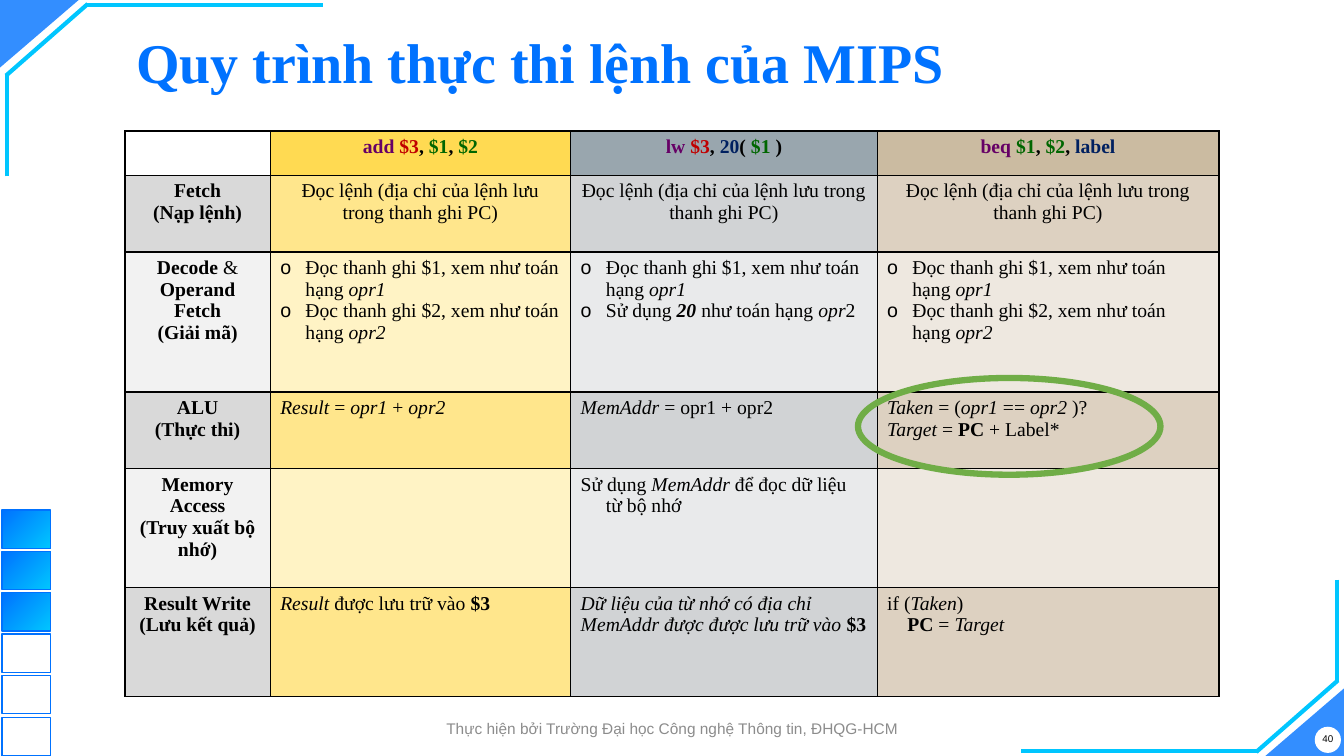
"""Build the slide on how MIPS instructions are executed, step by step."""
from dataclasses import dataclass
from typing import Optional

from lxml.etree import SubElement
from pptx import Presentation
from pptx.dml.color import RGBColor
from pptx.enum.shapes import MSO_CONNECTOR, MSO_SHAPE as SHAPE
from pptx.enum.text import MSO_ANCHOR as ANCHOR, MSO_AUTO_SIZE, PP_ALIGN as ALIGN
from pptx.oxml.ns import qn
from pptx.slide import Slide
from pptx.util import Emu, Pt

PX = 9144
WIDTH, HEIGHT = 1333, 750
SERIF, SANS = "Times New Roman", "Arial"

BLUE = RGBColor(0x00, 0x72, 0xFF)
CYAN = RGBColor(0x00, 0xC6, 0xFF)
WHITE = RGBColor(0xFF, 0xFF, 0xFF)
BLACK = RGBColor(0x00, 0x00, 0x00)
GREY = RGBColor(0x8C, 0x8C, 0x8C)
RING_GREEN = RGBColor(0x70, 0xAD, 0x47)
PURPLE = RGBColor(0x66, 0x00, 0x66)
RED = RGBColor(0xC0, 0x00, 0x00)
GREEN = RGBColor(0x00, 0x66, 0x00)
NAVY = RGBColor(0x00, 0x20, 0x60)

HEAD_FILLS = [WHITE, RGBColor(0xFF, 0xDA, 0x52), RGBColor(0x99, 0xA6, 0xAE), RGBColor(0xCB, 0xBB, 0xA1)]
DARK_FILLS = [RGBColor(0xD9, 0xD9, 0xD9), RGBColor(0xFF, 0xE6, 0x8C), RGBColor(0xD1, 0xD3, 0xD5), RGBColor(0xDD, 0xD1, 0xC1)]
LIGHT_FILLS = [RGBColor(0xF2, 0xF2, 0xF2), RGBColor(0xFF, 0xF3, 0xC5), RGBColor(0xE9, 0xEA, 0xEB), RGBColor(0xEE, 0xE8, 0xE0)]


@dataclass
class Run:
    """A stretch of text in one style."""
    text: str
    bold: bool = False
    italic: bool = False
    color: Optional[RGBColor] = None


@dataclass
class Para:
    """A paragraph of a table cell."""
    runs: list[Run]
    align: ALIGN = ALIGN.LEFT
    left: int = 0
    indent: int = 0
    bullet: bool = False


@dataclass
class Box:
    """A place on the slide in px."""
    x: int
    y: int
    w: int
    h: int

    def emu(self) -> tuple[Emu, Emu, Emu, Emu]:
        """Return left, top, width and height as lengths."""
        return px(self.x), px(self.y), px(self.w), px(self.h)


def px(n: int) -> Emu:
    """Turn px into EMU."""
    return Emu(n * PX)


def plain(text: str) -> Run:
    """Return a plain run."""
    return Run(text)


def bold(text: str, color: Optional[RGBColor] = None) -> Run:
    """Return a bold run."""
    return Run(text, bold=True, color=color)


def ital(text: str) -> Run:
    """Return an italic run."""
    return Run(text, italic=True)


def label(*lines: str) -> list[Para]:
    """Return the centred bold lines of a row label."""
    return [Para([bold(line)], ALIGN.CENTER) for line in lines]


def code(*runs: Run) -> list[Para]:
    """Return a centred column heading."""
    return [Para(list(runs), ALIGN.CENTER)]


def item(*runs: Run) -> Para:
    """Return a bulleted paragraph."""
    return Para(list(runs), left=25, indent=-25, bullet=True)


def read_reg(reg: str, operand: str) -> Para:
    """Return the step that reads a register into an operand."""
    return item(plain(f"Đọc thanh ghi {reg}, xem như toán hạng "), ital(operand))


FETCH = [Para([plain("Đọc lệnh (địa chỉ của lệnh lưu trong thanh ghi PC)")], ALIGN.CENTER)]
TWO_REGS = [read_reg("$1", "opr1"), read_reg("$2", "opr2")]
ROWS = [
    [[],
     code(bold("add ", PURPLE), bold("$3", RED), bold(", "), bold("$1", GREEN), bold(", "), bold("$2", GREEN)),
     code(bold("lw ", PURPLE), bold("$3", RED), bold(", "), bold("20", NAVY), bold("( "), bold("$1 ", GREEN), bold(")")),
     code(bold("beq ", PURPLE), bold("$1", GREEN), bold(", "), bold("$2", GREEN), bold(", "), bold("label", NAVY))],
    [label("Fetch", "(Nạp lệnh)"), FETCH, FETCH, FETCH],
    [[Para([bold("Decode "), plain("&")], ALIGN.CENTER), *label("Operand Fetch", "(Giải mã)")],
     TWO_REGS,
     [read_reg("$1", "opr1"),
      item(plain("Sử dụng "), Run("20 ", True, True), plain("như toán hạng "), ital("opr"), plain("2"))],
     TWO_REGS],
    [label("ALU", "(Thực thi)"),
     [Para([ital("Result"), plain(" = "), ital("opr1"), plain(" + "), ital("opr2")])],
     [Para([ital("MemAddr "), plain("= opr1 + opr2")])],
     [Para([ital("Taken "), plain("= ("), ital("opr1"), plain(" == "), ital("opr2"), plain(" )?")]),
      Para([ital("Target "), plain("= "), bold("PC"), plain(" + Label*")])]],
    [label("Memory", "Access", "(Truy xuất bộ nhớ)"),
     [],
     [Para([plain("Sử dụng "), ital("MemAddr"), plain(" để đọc dữ liệu từ bộ nhớ")], left=25, indent=-25)],
     []],
    [label("Result Write", "(Lưu kết quả)"),
     [Para([ital("Result"), plain(" được lưu trữ vào "), bold("$3")])],
     [Para([ital("Dữ liệu của từ nhớ có địa chỉ MemAddr được được lưu trữ vào "), bold("$3")])],
     [Para([plain("if ("), ital("Taken"), plain(")")]),
      Para([bold("PC"), plain(" = "), ital("Target")], left=20)]],
]
COL_WIDTHS = [144, 298, 304, 339]
ROW_HEIGHTS = [44, 76, 139, 76, 118, 108]
CORNER_LINES = [(320, 5, 85, 5), (87, 4, 6, 75), (7, 175, 7, 73)]


def add_shape(s: Slide, kind: SHAPE, box: Box, fill: Optional[RGBColor] = None,
              line: Optional[RGBColor] = None, weight: float = 1):
    """Draw a preset shape without shadow."""
    sp = s.shapes.add_shape(kind, *box.emu())
    sp.shadow.inherit = False
    if fill is None:
        sp.fill.background()
    else:
        sp.fill.solid()
        sp.fill.fore_color.rgb = fill
    if line is None:
        sp.line.fill.background()
    else:
        sp.line.color.rgb = line
        sp.line.width = Pt(weight)
    return sp


def add_corner(s: Slide, turned: bool) -> None:
    """Draw a corner triangle and its lines, turned for the bottom right."""
    box = Box(WIDTH - 78, HEIGHT - 67, 78, 67) if turned else Box(0, 0, 78, 67)
    sp = add_shape(s, SHAPE.ISOSCELES_TRIANGLE, box, BLUE)
    sp.adjustments[0] = 1
    sp.rotation = 0 if turned else 180
    clr = sp.fill._xPr.find(qn("a:solidFill"))[0]
    SubElement(clr, qn("a:alpha"), val="80000")
    for x1, y1, x2, y2 in CORNER_LINES:
        if turned:
            x1, y1, x2, y2 = WIDTH - x1, HEIGHT - y1, WIDTH - x2, HEIGHT - y2
        c = s.shapes.add_connector(MSO_CONNECTOR.STRAIGHT, px(x1), px(y1), px(x2), px(y2))
        c.line.color.rgb = CYAN
        c.line.width = Pt(3)
        SubElement(c._element.spPr, qn("a:effectLst"))


def add_progress(s: Slide) -> None:
    """Draw the six progress squares, three of them filled."""
    for k in range(6):
        sp = add_shape(s, SHAPE.RECTANGLE, Box(2, 506 + 412 * k // 10, 48, 38), line=BLUE)
        if k < 3:
            sp.fill.gradient()
            sp.fill.gradient_angle = 315
            for stop, color in zip(sp.fill.gradient_stops, (BLUE, CYAN)):
                stop.color.rgb = color


def add_note(s: Slide, box: Box, text: str, size: int, color: RGBColor) -> None:
    """Write a small centred line."""
    tf = s.shapes.add_textbox(*box.emu()).text_frame
    tf.word_wrap = True
    tf.vertical_anchor = ANCHOR.MIDDLE
    tf.margin_left = tf.margin_right = tf.margin_top = tf.margin_bottom = 0
    p = tf.paragraphs[0]
    p.text, p.alignment = text, ALIGN.CENTER
    p.font.size, p.font.name, p.font.color.rgb = Pt(size), SANS, color


def fill_cell(cell, paras: list[Para], fill: RGBColor) -> None:
    """Write, frame and fill a table cell."""
    tc_pr = cell._tc.get_or_add_tcPr()
    for side in ("a:lnL", "a:lnR", "a:lnT", "a:lnB"):
        ln = SubElement(tc_pr, qn(side), w="12192")
        SubElement(SubElement(ln, qn("a:solidFill")), qn("a:srgbClr"), val=str(BLACK))
    cell.fill.solid()
    cell.fill.fore_color.rgb = fill
    tf = cell.text_frame
    for k, para in enumerate(paras):
        p = tf.add_paragraph() if k else tf.paragraphs[0]
        p.alignment = para.align
        p_pr = p._p.get_or_add_pPr()
        p_pr.set("marL", str(px(para.left)))
        p_pr.set("indent", str(px(para.indent)))
        if para.bullet:
            SubElement(p_pr, qn("a:buFont"), typeface=SANS)
            SubElement(p_pr, qn("a:buChar"), char="o")
        p.font.size, p.font.name, p.font.color.rgb = Pt(14), SERIF, BLACK
        for run in para.runs:
            r = p.add_run()
            r.text, r.font.bold, r.font.italic = run.text, run.bold, run.italic
            if run.color is not None:
                r.font.color.rgb = run.color


def add_steps(s: Slide) -> None:
    """Draw the table of execution steps."""
    box = Box(124, 130, sum(COL_WIDTHS), sum(ROW_HEIGHTS))
    table = s.shapes.add_table(len(ROWS), len(COL_WIDTHS), *box.emu()).table
    table.first_row = table.horz_banding = False
    for col, w in zip(table.columns, COL_WIDTHS):
        col.width = px(w)
    for k, (row, h) in enumerate(zip(table.rows, ROW_HEIGHTS)):
        row.height = px(h)
        fills = HEAD_FILLS if k == 0 else DARK_FILLS if k % 2 else LIGHT_FILLS
        for cell, paras, fill in zip(row.cells, ROWS[k], fills):
            fill_cell(cell, paras, fill)


def add_title(s: Slide, text: str) -> None:
    """Place and format the title."""
    sp = s.shapes.title
    sp.left, sp.top, sp.width, sp.height = Box(125, 16, 1150, 98).emu()
    tf = sp.text_frame
    tf.auto_size = MSO_AUTO_SIZE.NONE
    tf.vertical_anchor = ANCHOR.MIDDLE
    p = tf.paragraphs[0]
    p.text, p.alignment, p.line_spacing = text, ALIGN.LEFT, 0.9
    p.font.size, p.font.name, p.font.bold, p.font.color.rgb = Pt(40), SERIF, True, BLUE


def main() -> None:
    """Build and save the slide."""
    prs = Presentation()
    prs.slide_width, prs.slide_height = px(WIDTH), px(HEIGHT)
    s = prs.slides.add_slide(prs.slide_layouts[5])
    add_corner(s, turned=False)
    add_corner(s, turned=True)
    add_shape(s, SHAPE.OVAL, Box(1304, 721, 26, 26), WHITE)
    add_progress(s)
    add_title(s, "Quy trình thực thi lệnh của MIPS")
    add_note(s, Box(1301, 717, 32, 32), "40", 7, BLACK)
    add_note(s, Box(399, 708, 536, 29), "Thực hiện bởi Trường Đại học Công nghệ Thông tin, ĐHQG-HCM", 11, GREY)
    add_steps(s)
    add_shape(s, SHAPE.OVAL, Box(851, 375, 300, 96), line=RING_GREEN, weight=4.5)
    prs.save("out.pptx")


if __name__ == "__main__":
    main()
